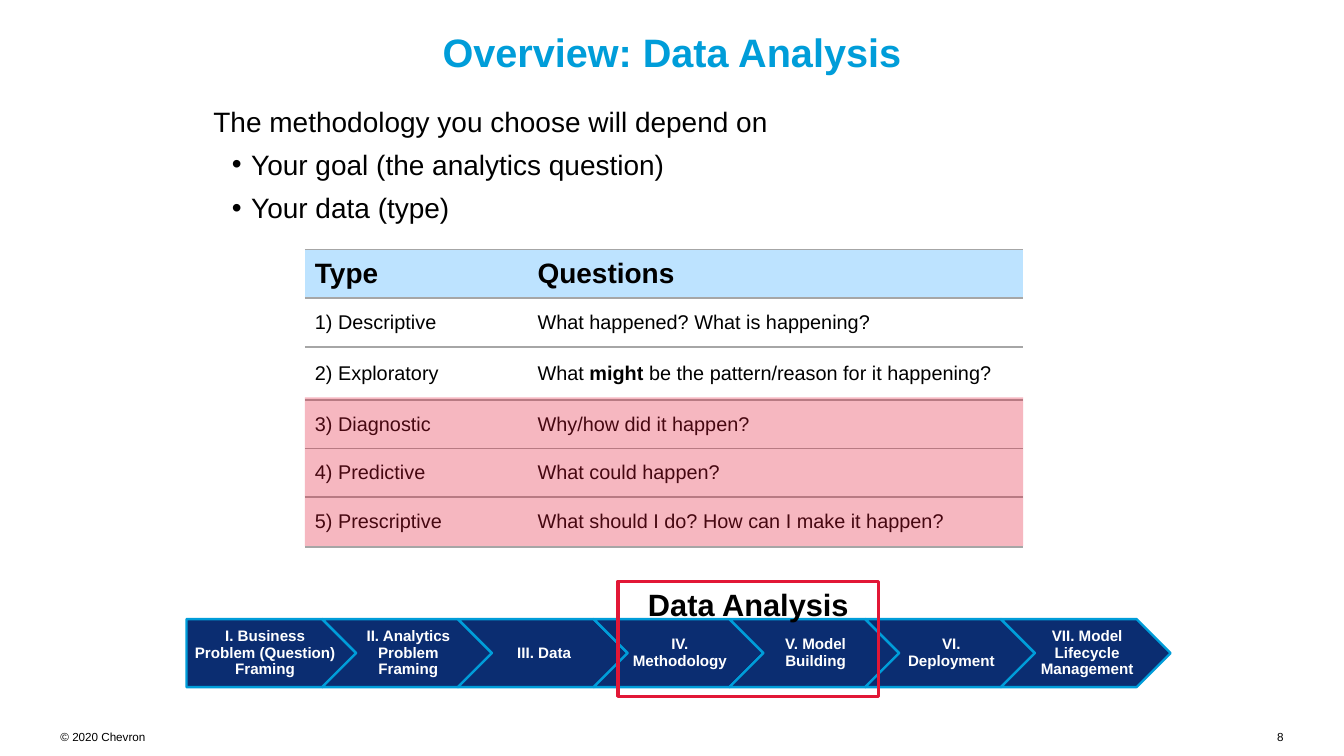
from dataclasses import dataclass

from lxml import etree
from pptx import Presentation
from pptx import util as u
from pptx.dml.color import RGBColor
from pptx.enum import shapes, text
from pptx.oxml.ns import qn

COLORS = {
    "title": "009DD9", "ink": "000000", "white": "FFFFFF", "navy": "0B2D71",
    "header": "BDE3FF", "rule": "A6A6A6", "frame": "E21736", "veil": "E21836",
}
FONT = "Arial"
COLUMNS, ROWS = 16, 9
WIDTH, HEIGHT = u.Inches(16), u.Inches(9)
LEFT, CENTER, RIGHT = text.PP_ALIGN.LEFT, text.PP_ALIGN.CENTER, text.PP_ALIGN.RIGHT
TOP, MIDDLE = text.MSO_ANCHOR.TOP, text.MSO_ANCHOR.MIDDLE


def col(count: float) -> int:
    return round(WIDTH * count / COLUMNS)


def row(count: float) -> int:
    return round(HEIGHT * count / ROWS)


@dataclass
class Area:
    left: float
    top: float
    width: float
    height: float

    def lengths(self) -> tuple:
        return col(self.left), row(self.top), col(self.width), row(self.height)


@dataclass
class Step:
    label: str
    area: Area
    label_area: Area
    preset: shapes.MSO_SHAPE
    left_inset: float


def rgb(name: str) -> RGBColor:
    return RGBColor.from_string(COLORS[name])


def write(para, content: str, *, size: float, color: str = "ink", bold: bool = False,
          align=LEFT, before: float = 0, spacing: float = 1.0) -> None:
    """Words between asterisks switch to bold."""
    para.alignment, para.line_spacing = align, spacing
    para.space_before = u.Pt(before)
    for index, piece in enumerate(content.split("*")):
        span = para.add_run()
        span.text = piece
        span.font.name, span.font.size = FONT, u.Pt(size)
        span.font.bold = bold or index % 2 == 1
        span.font.color.rgb = rgb(color)


def set_frame(frame, insets: tuple = (0, 0, 0, 0), anchor=TOP, wrap: bool = True) -> None:
    frame.auto_size = text.MSO_AUTO_SIZE.NONE
    frame.word_wrap, frame.vertical_anchor = wrap, anchor
    (frame.margin_left, frame.margin_top,
     frame.margin_right, frame.margin_bottom) = map(u.Inches, insets)


def place(box, area: Area) -> None:
    box.left, box.top, box.width, box.height = area.lengths()


def add_label(page, area: Area, content: str, *, insets: tuple = (0, 0, 0, 0),
              anchor=TOP, wrap: bool = True, **style) -> None:
    box = page.shapes.add_textbox(*area.lengths())
    set_frame(box.text_frame, insets, anchor, wrap)
    write(box.text_frame.paragraphs[0], content, **style)


def add_block(page, preset, area: Area, *, fill: str = "", line: str = "",
              weight: float = 2):
    block = page.shapes.add_shape(preset, *area.lengths())
    block.shadow.inherit = False
    if fill:
        block.fill.solid()
        block.fill.fore_color.rgb = rgb(fill)
    else:
        block.fill.background()
    if line:
        block.line.color.rgb = rgb(line)
        block.line.width = u.Pt(weight)
    else:
        block.line.fill.background()
    return block


def set_bullet(para, mark: str = "") -> None:
    props = para._p.get_or_add_pPr()
    props.set("marL", str(u.Inches(0.45) if mark else 0))
    props.set("indent", str(u.Inches(-0.23) if mark else 0))
    bullet = etree.SubElement(props, qn("a:buChar" if mark else "a:buNone"))
    if mark:
        bullet.set("char", mark)


def set_borders(cell) -> None:
    props = cell._tc.get_or_add_tcPr()
    for side in ("lnL", "lnR", "lnT", "lnB"):
        edge = etree.SubElement(props, qn(f"a:{side}"), w=str(u.Pt(1.5)))
        if side in ("lnL", "lnR"):
            etree.SubElement(edge, qn("a:noFill"))
        else:
            paint = etree.SubElement(edge, qn("a:solidFill"))
            etree.SubElement(paint, qn("a:srgbClr"), val=COLORS["rule"])


TABLE_AREA = Area(3.63, 2.97, 8.55, 3.54)
TABLE_COLUMNS = (2.65, 5.9)
TABLE_ROWS = (0.58, 0.58, 0.63, 0.58, 0.58, 0.59)
QUESTIONS = (
    ("Type", "Questions"),
    ("1) Descriptive", "What happened? What is happening?"),
    ("2) Exploratory", "What *might *be the pattern/reason for it happening?"),
    ("3) Diagnostic", "Why/how did it happen?"),
    ("4) Predictive", "What could happen?"),
    ("5) Prescriptive", "What should I do? How can I make it happen?"),
)
BODY = ("The methodology you choose will depend on",
        "Your goal (the analytics question)", "Your data (type)")
STEP_NAMES = (
    "I. Business Problem (Question) Framing", "II. Analytics Problem Framing",
    "III. Data", "IV. Methodology", "V. Model Building", "VI. Deployment",
    "VII. Model Lifecycle Management",
)
STEP_LEFT, STEP_TOP, STEP_WIDTH, STEP_HEIGHT = 2.22, 7.37, 2.02, 0.81
STEP_PITCH = 0.8 * STEP_WIDTH


def make_step(index: int, label: str) -> Step:
    left = STEP_LEFT + index * STEP_PITCH
    area = Area(left, STEP_TOP, STEP_WIDTH, STEP_HEIGHT)
    if index == 0:
        return Step(label, area, Area(left, STEP_TOP, 1.81, STEP_HEIGHT),
                    shapes.MSO_SHAPE.PENTAGON, 0.08)
    return Step(label, area, Area(left + 0.4, STEP_TOP, 1.21, STEP_HEIGHT),
                shapes.MSO_SHAPE.CHEVRON, 0.06)


def add_questions(page) -> None:
    table = page.shapes.add_table(len(TABLE_ROWS), len(TABLE_COLUMNS),
                                  *TABLE_AREA.lengths()).table
    table.first_row = table.horz_banding = False
    for column, width in zip(table.columns, TABLE_COLUMNS):
        column.width = col(width)
    for index, (line, height) in enumerate(zip(table.rows, TABLE_ROWS)):
        line.height = row(height)
        header = index == 0
        for cell, content in zip(line.cells, QUESTIONS[index]):
            set_borders(cell)
            if header:
                cell.fill.solid()
                cell.fill.fore_color.rgb = rgb("header")
            else:
                cell.fill.background()
            cell.vertical_anchor = MIDDLE
            cell.margin_left = cell.margin_right = u.Inches(0.12)
            cell.margin_top = cell.margin_bottom = u.Inches(0.06)
            write(cell.text_frame.paragraphs[0], content,
                  size=24 if header else 17, bold=header)


def main() -> None:
    deck = Presentation()
    deck.slide_width, deck.slide_height = WIDTH, HEIGHT
    page = deck.slides.add_slide(deck.slide_layouts[1])

    # Title and body
    title, body = page.shapes.title, page.placeholders[1]
    place(title, Area(2.54, 0.27, 10.92, 1.13))
    set_frame(title.text_frame, (0, 0.06, 0, 0.06))
    write(title.text_frame.paragraphs[0], "Overview: Data Analysis",
          size=34, color="title", bold=True, align=CENTER)
    place(body, Area(2.54, 1.24, 11.12, 6.37))
    set_frame(body.text_frame)
    for index, content in enumerate(BODY):
        para = body.text_frame.add_paragraph() if index else body.text_frame.paragraphs[0]
        para.level = min(index, 1)
        set_bullet(para, "•" if index else "")
        write(para, content, size=24, before=8.3 if index else 0)

    # Process chain
    for index, name in enumerate(STEP_NAMES):
        step = make_step(index, name)
        add_block(page, step.preset, step.area, fill="navy", line="title")
        add_label(page, step.label_area, step.label, anchor=MIDDLE,
                  insets=(step.left_inset, 0.04, 0.02, 0.04), size=13,
                  color="white", bold=True, align=CENTER, spacing=0.9)

    # Frame around the analysis steps
    frame = add_block(page, shapes.MSO_SHAPE.RECTANGLE, Area(7.36, 6.92, 3.1, 1.37),
                      line="frame", weight=3)
    set_frame(frame.text_frame, (0.1, 0.05, 0.1, 0.05))
    write(frame.text_frame.paragraphs[0], "Data Analysis", size=26.4, bold=True, align=CENTER)

    # Table with a translucent veil over its last three rows
    add_questions(page)
    veil = add_block(page, shapes.MSO_SHAPE.RECTANGLE, Area(3.63, 4.73, 8.55, 1.77), fill="veil")
    tint = veil._element.spPr.find(qn("a:solidFill"))[0]
    etree.SubElement(tint, qn("a:alpha"), val="31000")

    # Footer
    add_label(page, Area(0.72, 8.69, 1.02, 0.17), "© 2020 Chevron", size=10, wrap=False)
    add_label(page, Area(13.87, 8.69, 1.41, 0.16), "8", size=10, align=RIGHT)
    deck.save("out.pptx")


if __name__ == "__main__":
    main()
